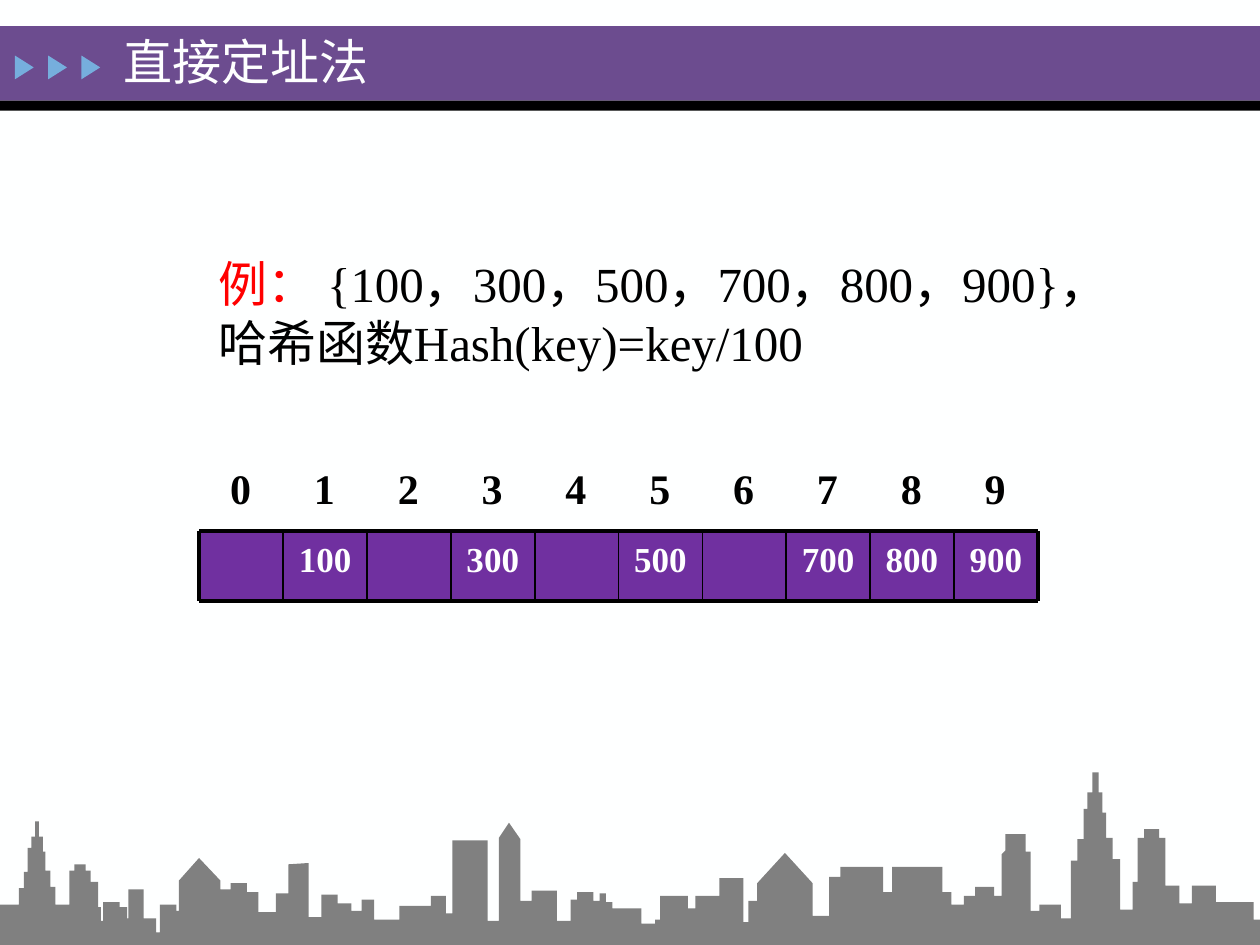
from lxml import etree
from pptx import Presentation
from pptx import util as u
from pptx.dml.color import RGBColor
from pptx.enum import shapes, text
from pptx.oxml.ns import qn

COLOURS = {
    "paper": "FEFFFF", "banner": "6C4C8F", "ink": "000000", "arrow": "76AEDD",
    "cell": "7030A0", "accent": "FF0000", "city": "808080",
}
FORMATS = {
    "title": {"size": u.Pt(28), "bold": False},
    "body": {"size": u.Pt(28), "bold": False},
    "index": {"size": u.Pt(24), "bold": True},
    "key": {"size": u.Pt(20), "bold": True},
}
FRAMES = {
    "title": {"word_wrap": True, "vertical_anchor": text.MSO_ANCHOR.MIDDLE},
    "body": {"word_wrap": True, "vertical_anchor": text.MSO_ANCHOR.TOP},
}
ROOFLINE = [
    (1000, 730), (995, 716), (965, 703), (946, 717), (936, 703), (925, 665), (920, 658),
    (908, 665), (903, 700), (899, 722), (889, 682), (883, 665), (878, 645), (875, 629),
    (872, 613), (867, 629), (863, 642), (860, 666), (855, 683), (850, 729), (842, 718),
    (825, 723), (818, 676), (814, 662), (798, 675), (795, 678), (795, 711), (789, 704),
    (774, 711), (765, 718), (755, 708), (748, 688), (708, 708), (701, 688), (667, 696),
    (658, 727), (645, 701), (623, 677), (601, 701), (601, 715), (594, 732), (590, 697),
    (571, 711), (552, 721), (546, 711), (524, 730), (520, 733), (509, 721), (486, 716),
    (481, 709), (476, 715), (471, 708), (458, 714), (453, 731), (442, 707), (422, 715),
    (413, 666), (404, 653), (396, 665), (396, 731), (387, 667), (359, 725), (354, 711),
    (342, 719), (317, 730), (297, 714), (287, 723), (279, 717), (268, 710), (255, 728),
    (245, 685), (229, 686), (229, 709), (219, 724), (205, 708), (196, 701), (183, 706),
    (175, 699), (158, 681), (142, 699), (142, 723), (140, 718), (127, 740), (124, 729),
    (114, 706), (102, 729), (101, 720), (95, 716), (82, 731), (80, 720), (78, 700),
    (72, 691), (68, 686), (59, 691), (55, 718), (44, 704), (40, 691), (36, 676),
    (34, 664), (31, 652), (28, 664), (25, 673), (22, 692), (19, 705), (15, 718), (0, 750),
]
SLOPED = {795, 623, 601, 404, 396, 229, 158, 142}


def apply_format(target, values):
    for name, value in values.items():
        setattr(target, name, value)


class Deck:
    font = "Times New Roman"

    def __init__(self, width, height):
        self.prs = Presentation()
        self.prs.slide_width, self.prs.slide_height = u.Cm(width), u.Cm(height)
        self.slide = None

    def colour(self, name):
        return RGBColor.from_string(COLOURS[name])

    def add_slide(self):
        self.slide = self.prs.slides.add_slide(self.prs.slide_layouts[6])
        self.paint(self.slide.background.fill, "paper")

    def paint(self, fill, name):
        fill.solid()
        fill.fore_color.rgb = self.colour(name)

    def finish(self, shape, colour):
        self.paint(shape.fill, colour)
        shape.line.fill.background()
        shape.shadow.inherit = False
        return shape

    def shape(self, kind, colour, *box):
        return self.finish(self.slide.shapes.add_shape(kind, *map(u.Cm, box)), colour)

    def add_words(self, paragraph, words, style, colour):
        run = paragraph.add_run()
        run.text = words
        apply_format(run.font, {"name": self.font, **FORMATS[style]})
        run.font.color.rgb = self.colour(colour)

    def text_box(self, frame_style, *box):
        frame = self.slide.shapes.add_textbox(*map(u.Cm, box)).text_frame
        apply_format(frame, FRAMES[frame_style])
        return frame

    def indent(self, paragraph, first_line):
        paragraph._p.get_or_add_pPr().set("indent", str(u.Cm(first_line)))

    def tabs(self, paragraph, pitch, count):
        stops = etree.SubElement(paragraph._p.get_or_add_pPr(), qn("a:tabLst"))
        for n in range(1, count):
            etree.SubElement(stops, qn("a:tab"), pos=str(u.Cm(n * pitch)), algn="l")

    def cell(self, key, *box):
        square = self.shape(shapes.MSO_SHAPE.RECTANGLE, "cell", *box)
        apply_format(square.text_frame, FRAMES["body"])
        if key:
            paragraph = square.text_frame.paragraphs[0]
            paragraph.alignment = text.PP_ALIGN.CENTER
            self.add_words(paragraph, key, "key", "paper")

    def rule(self, weight, *ends):
        line = self.slide.shapes.add_connector(
            shapes.MSO_CONNECTOR.STRAIGHT, *map(u.Cm, ends))
        line.line.width = u.Pt(weight)
        line.line.color.rgb = self.colour("ink")
        etree.SubElement(line._element.spPr, qn("a:effectLst"))

    def skyline(self, roofline, sloped):
        ground = y = 750
        points = []
        for next_x, next_y in roofline:
            if next_x not in sloped:
                points.append((next_x, y))
            points.append((next_x, next_y))
            y = next_y
        builder = self.slide.shapes.build_freeform(1000, ground, scale=u.Cm(0.0254))
        builder.add_line_segments(points, close=True)
        self.finish(builder.convert_to_shape(), "city")


def main():
    deck = Deck(25.4, 19.05)
    deck.add_slide()

    deck.shape(shapes.MSO_SHAPE.RECTANGLE, "banner", 0, 0.53, 25.4, 1.5)
    deck.shape(shapes.MSO_SHAPE.RECTANGLE, "ink", 0, 2.03, 25.4, 0.2)
    for n in range(3):
        arrow = deck.shape(shapes.MSO_SHAPE.ISOSCELES_TRIANGLE, "arrow",
                           0.25 + 0.67 * n, 1.17, 0.48, 0.38)
        arrow.rotation = 90

    example = deck.text_box("body", 3.07, 4.98, 21.59, 2.62)
    keys = example.paragraphs[0]
    hash_function = example.add_paragraph()
    for paragraph in (keys, hash_function):
        paragraph.alignment = text.PP_ALIGN.JUSTIFY
        deck.indent(paragraph, 1.08)
    deck.add_words(keys, "例： ", "body", "accent")
    deck.add_words(keys, "{100，300，500，700，800，900}，", "body", "ink")
    deck.add_words(hash_function, "哈希函数Hash(key)=key/100", "body", "ink")

    slots = ["", "100", "", "300", "", "500", "", "700", "800", "900"]
    left, top, pitch, height = 4.02, 10.71, 1.69, 1.41
    right, bottom = left + pitch * len(slots), top + height

    indices = deck.text_box("body", 4.39, 9.19, 16.97, 1.27).paragraphs[0]
    deck.tabs(indices, pitch, len(slots))
    deck.add_words(indices, "\t".join(map(str, range(len(slots)))), "index", "ink")

    for n, key in enumerate(slots):
        deck.cell(key, left + pitch * n, top, pitch, height)
    for y in (top, bottom):
        deck.rule(2.25, left, y, right, y)
    for n in range(len(slots) + 1):
        x = left + pitch * n
        deck.rule(2.25 if n in (0, len(slots)) else 1, x, top, x, bottom)

    title = deck.text_box("title", 2.24, 0.51, 11.94, 1.42)
    deck.add_words(title.paragraphs[0], "直接定址法", "title", "paper")

    deck.skyline(ROOFLINE, SLOPED)
    deck.prs.save("out.pptx")


if __name__ == "__main__":
    main()
